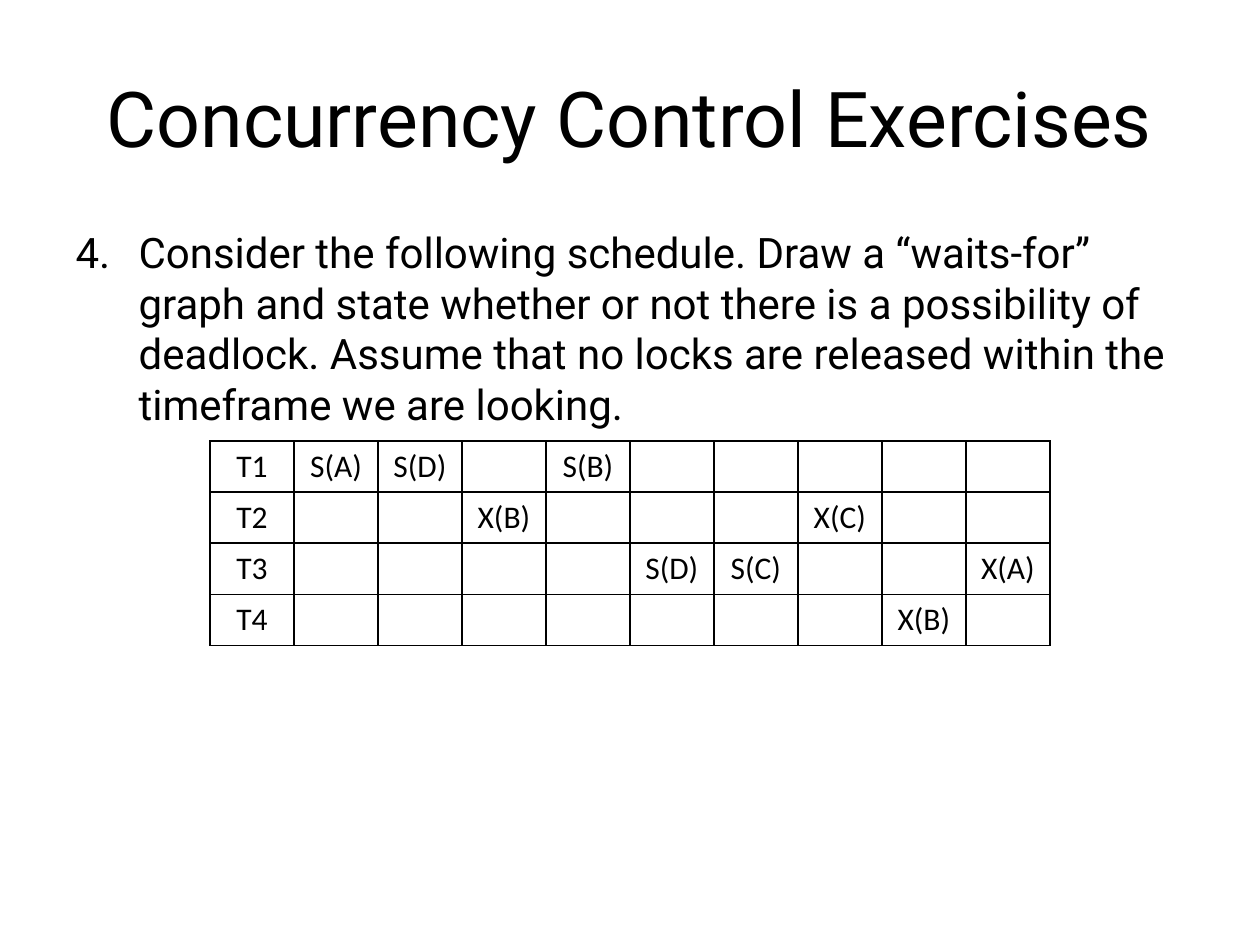
from pptx import Presentation
from pptx.dml.color import RGBColor
from pptx.enum.text import MSO_ANCHOR, MSO_AUTO_SIZE, PP_ALIGN
from pptx.oxml import parse_xml
from pptx.oxml.ns import nsdecls
from pptx.util import Pt


def color(value):
    """Turn a hex string into a colour."""
    return RGBColor.from_string(value)


class SlideBuilder:
    """Holds the style and the current slide."""

    heading_font, table_font = "Roboto", "Calibri"
    ink = "000000"

    def __init__(self, presentation):
        """Add a title and body slide."""
        self.slide = presentation.slides.add_slide(presentation.slide_layouts[1])

    def add_text(self, paragraph, text, size, font, align):
        """Put one styled run into a paragraph."""
        paragraph.alignment = align
        run = paragraph.add_run()
        run.text = text
        run.font.size = Pt(size)
        run.font.name = font
        run.font.color.rgb = color(self.ink)

    def place(self, shape, left, top, width, height, anchor):
        """Position a placeholder and return its first paragraph."""
        shape.left, shape.top = Pt(left), Pt(top)
        shape.width, shape.height = Pt(width), Pt(height)
        frame = shape.text_frame
        frame.word_wrap = True
        frame.auto_size = MSO_AUTO_SIZE.NONE
        frame.vertical_anchor = anchor
        return frame.paragraphs[0]

    def title(self, text, *box):
        """Fill the title placeholder."""
        paragraph = self.place(self.slide.shapes.title, *box, MSO_ANCHOR.MIDDLE)
        self.add_text(paragraph, text, 44, self.heading_font, PP_ALIGN.CENTER)

    def numbered(self, text, number, *box):
        """Fill the body placeholder with one numbered item."""
        paragraph = self.place(self.slide.placeholders[1], *box, MSO_ANCHOR.TOP)
        self.add_text(paragraph, text, 24, self.heading_font, PP_ALIGN.LEFT)
        paragraph.space_before = Pt(4.8)
        properties = paragraph._p.get_or_add_pPr()
        properties.set("marL", str(Pt(36)))
        properties.set("indent", str(-Pt(36)))
        for bullet in (f'<a:buFont {nsdecls("a")} typeface="{self.heading_font}"/>',
                       f'<a:buAutoNum {nsdecls("a")} type="arabicPeriod" startAt="{number}"/>'):
            properties.append(parse_xml(bullet))

    def border(self, cell):
        """Draw a thin line on all four sides of a cell."""
        properties = cell._tc.get_or_add_tcPr()
        for index, side in enumerate(("lnL", "lnR", "lnT", "lnB")):
            properties.insert(index, parse_xml(
                f'<a:{side} {nsdecls("a")} w="{Pt(1)}"><a:solidFill>'
                f'<a:srgbClr val="{self.ink}"/></a:solidFill></a:{side}>'))

    def schedule(self, transactions, steps, left, top, column, row):
        """Draw a table with one row per transaction and one column per step."""
        rows, columns = len(transactions), len(steps) + 1
        table = self.slide.shapes.add_table(
            rows, columns, Pt(left), Pt(top), Pt(column * columns), Pt(row * rows)).table
        table.first_row = table.horz_banding = False
        for table_column in table.columns:
            table_column.width = Pt(column)
        for table_row, name in zip(table.rows, transactions):
            table_row.height = Pt(row)
            texts = [name] + [lock if owner == name else "" for owner, lock in steps]
            for cell, text in zip(table_row.cells, texts):
                cell.fill.background()
                self.border(cell)
                paragraph = cell.text_frame.paragraphs[0]
                if text:
                    self.add_text(paragraph, text, 18, self.table_font, PP_ALIGN.CENTER)


presentation = Presentation()
presentation.slide_width, presentation.slide_height = Pt(720), Pt(540)

builder = SlideBuilder(presentation)
builder.title("Concurrency Control Exercises", 36, 21.6, 648, 90)
builder.numbered(
    "Consider the following schedule. Draw a “waits-for” graph and state whether "
    "or not there is a possibility of deadlock. Assume that no locks are released "
    "within the timeframe we are looking.", 4, 36, 126, 648, 414)
builder.schedule(
    ["T1", "T2", "T3", "T4"],
    [("T1", "S(A)"), ("T1", "S(D)"), ("T2", "X(B)"), ("T1", "S(B)"), ("T3", "S(D)"),
     ("T3", "S(C)"), ("T2", "X(C)"), ("T4", "X(B)"), ("T3", "X(A)")],
    left=120, top=252, column=48, row=29.2)

presentation.save("out.pptx")
